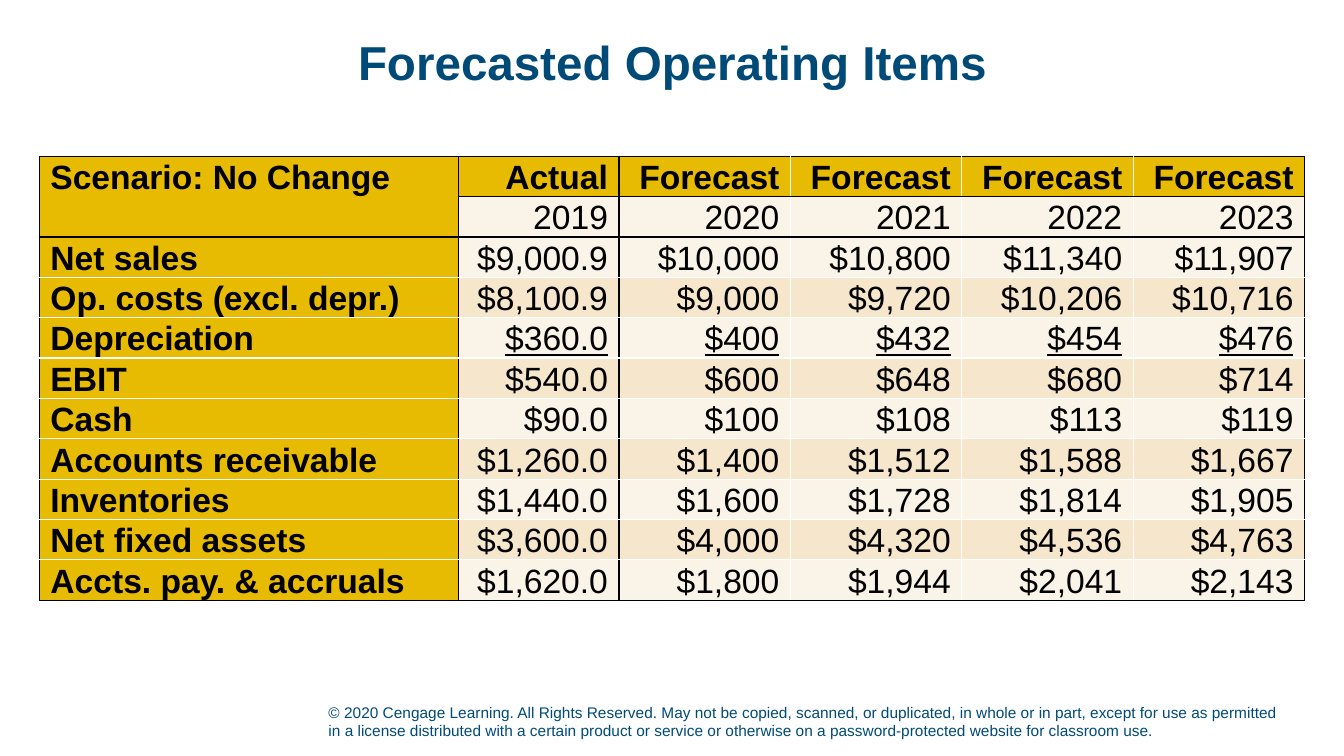
from pptx import Presentation
from pptx.dml.color import RGBColor
from pptx.enum.text import MSO_ANCHOR as Anchor, MSO_AUTO_SIZE as AutoSize, PP_ALIGN as Align
from pptx.oxml.ns import qn
from pptx.util import Inches, Pt
from lxml.etree import SubElement

TITLE = "Forecasted Operating Items"
COPYRIGHT = (
    "© 2020 Cengage Learning. All Rights Reserved. May not be copied, scanned, or duplicated, "
    "in whole or in part, except for use as permitted in a license distributed with a certain "
    "product or service or otherwise on a password-protected website for classroom use."
)
FORECAST_ROWS = [
    ("Scenario: No Change", "Actual", "Forecast", "Forecast", "Forecast", "Forecast"),
    ("", "2019", "2020", "2021", "2022", "2023"),
    ("Net sales", "$9,000.9", "$10,000", "$10,800", "$11,340", "$11,907"),
    ("Op. costs (excl. depr.)", "$8,100.9", "$9,000", "$9,720", "$10,206", "$10,716"),
    ("Depreciation", "$360.0", "$400", "$432", "$454", "$476"),
    ("EBIT", "$540.0", "$600", "$648", "$680", "$714"),
    ("Cash", "$90.0", "$100", "$108", "$113", "$119"),
    ("Accounts receivable", "$1,260.0", "$1,400", "$1,512", "$1,588", "$1,667"),
    ("Inventories", "$1,440.0", "$1,600", "$1,728", "$1,814", "$1,905"),
    ("Net fixed assets", "$3,600.0", "$4,000", "$4,320", "$4,536", "$4,763"),
    ("Accts. pay. & accruals", "$1,620.0", "$1,800", "$1,944", "$2,041", "$2,143"),
]
COLUMN_WIDTHS = [4.16, 1.59, 1.7, 1.7, 1.7, 1.7]
TABLE_HEIGHT = 4.31
YEAR_ROW = 1
UNDERLINED_ROW = 4
BLACK_COLUMN_EDGES = {0, 1, 2, len(COLUMN_WIDTHS)}
BLACK_ROW_EDGES = {0, 1, 2, len(FORECAST_ROWS)}
COLORS = {
    "heading": "E7BB01", "light": "FAF3E7", "band": "F6E7CC",
    "navy": "004A78", "black": "000000", "white": "FFFFFF",
}
TITLE_FONT = {"name": "Arial", "size": Pt(34), "bold": True}
COPYRIGHT_FONT = {"name": "Arial", "size": Pt(11)}
CELL_FORMAT = {
    "vertical_anchor": Anchor.BOTTOM, "margin_left": Inches(0.11),
    "margin_right": Inches(0.11), "margin_top": 0, "margin_bottom": 0,
}


def apply(target, formats):
    for name, value in formats.items():
        setattr(target, name, value)


def set_font(font, formats, color):
    apply(font, formats)
    font.color.rgb = RGBColor.from_string(COLORS[color])


def edge_color(edge, black_edges):
    return "black" if edge in black_edges else "white"


def set_borders(cell, row, column):
    edges = {
        "lnL": edge_color(column, BLACK_COLUMN_EDGES),
        "lnR": edge_color(column + 1, BLACK_COLUMN_EDGES),
        "lnT": edge_color(row, BLACK_ROW_EDGES),
        "lnB": edge_color(row + 1, BLACK_ROW_EDGES),
    }
    if column == 0 and row < 2:
        edges["lnB" if row == 0 else "lnT"] = None
    properties = cell._tc.get_or_add_tcPr()
    for position, (side, color) in enumerate(edges.items()):
        line = SubElement(properties, qn(f"a:{side}"), w=str(Pt(1)))
        properties.insert(position, line)
        if color:
            fill = SubElement(line, qn("a:solidFill"))
            SubElement(fill, qn("a:srgbClr"), val=COLORS[color])
        else:
            SubElement(line, qn("a:noFill"))


def fill_cell(cell, row, column, wording):
    heading = row == 0 or column == 0
    banded = row > YEAR_ROW and row % 2 == 1
    fill_color = "heading" if heading else "band" if banded else "light"
    apply(cell, CELL_FORMAT)
    cell.fill.solid()
    cell.fill.fore_color.rgb = RGBColor.from_string(COLORS[fill_color])
    set_borders(cell, row, column)
    cell.text = wording
    paragraph = cell.text_frame.paragraphs[0]
    paragraph.alignment = Align.RIGHT if column else Align.LEFT
    if row == YEAR_ROW and column:
        paragraph._p.get_or_add_pPr().set("indent", str(Inches(0.14)))
    cell_font = {
        "name": "Arial", "size": Pt(24), "bold": heading,
        "underline": row == UNDERLINED_ROW and column > 0,
    }
    set_font(paragraph.font, cell_font, "black")
    for run in paragraph.runs:
        set_font(run.font, cell_font, "black")


def add_title(slide):
    title = slide.shapes.title
    apply(title, {"left": Inches(0.92), "top": Inches(0.15),
                  "width": Inches(11.5), "height": Inches(1)})
    title.text_frame.text = TITLE
    apply(title.text_frame, {"auto_size": AutoSize.NONE, "vertical_anchor": Anchor.MIDDLE})
    paragraph = title.text_frame.paragraphs[0]
    apply(paragraph, {"alignment": Align.CENTER, "line_spacing": 0.9})
    set_font(paragraph.runs[0].font, TITLE_FONT, "navy")


def add_forecast(slide):
    frame = slide.shapes.add_table(
        len(FORECAST_ROWS), len(COLUMN_WIDTHS), Inches(0.39), Inches(1.55),
        Inches(sum(COLUMN_WIDTHS)), Inches(TABLE_HEIGHT))
    forecast = frame.table
    for column, width in zip(forecast.columns, COLUMN_WIDTHS):
        column.width = Inches(width)
    for row, wordings in enumerate(FORECAST_ROWS):
        forecast.rows[row].height = Inches(TABLE_HEIGHT / len(FORECAST_ROWS))
        for column, wording in enumerate(wordings):
            fill_cell(forecast.cell(row, column), row, column, wording)


def add_copyright(slide):
    notice = slide.shapes.add_textbox(Inches(3.16), Inches(6.89), Inches(9.63), Inches(0.5))
    apply(notice.text_frame, {"word_wrap": True, "vertical_anchor": Anchor.BOTTOM})
    notice.text_frame.text = COPYRIGHT
    set_font(notice.text_frame.paragraphs[0].runs[0].font, COPYRIGHT_FONT, "navy")


def main():
    presentation = Presentation()
    apply(presentation, {"slide_width": Inches(13.33), "slide_height": Inches(7.5)})
    slide = presentation.slides.add_slide(presentation.slide_layouts[5])
    add_copyright(slide)
    add_title(slide)
    add_forecast(slide)
    presentation.save("out.pptx")


if __name__ == "__main__":
    main()
